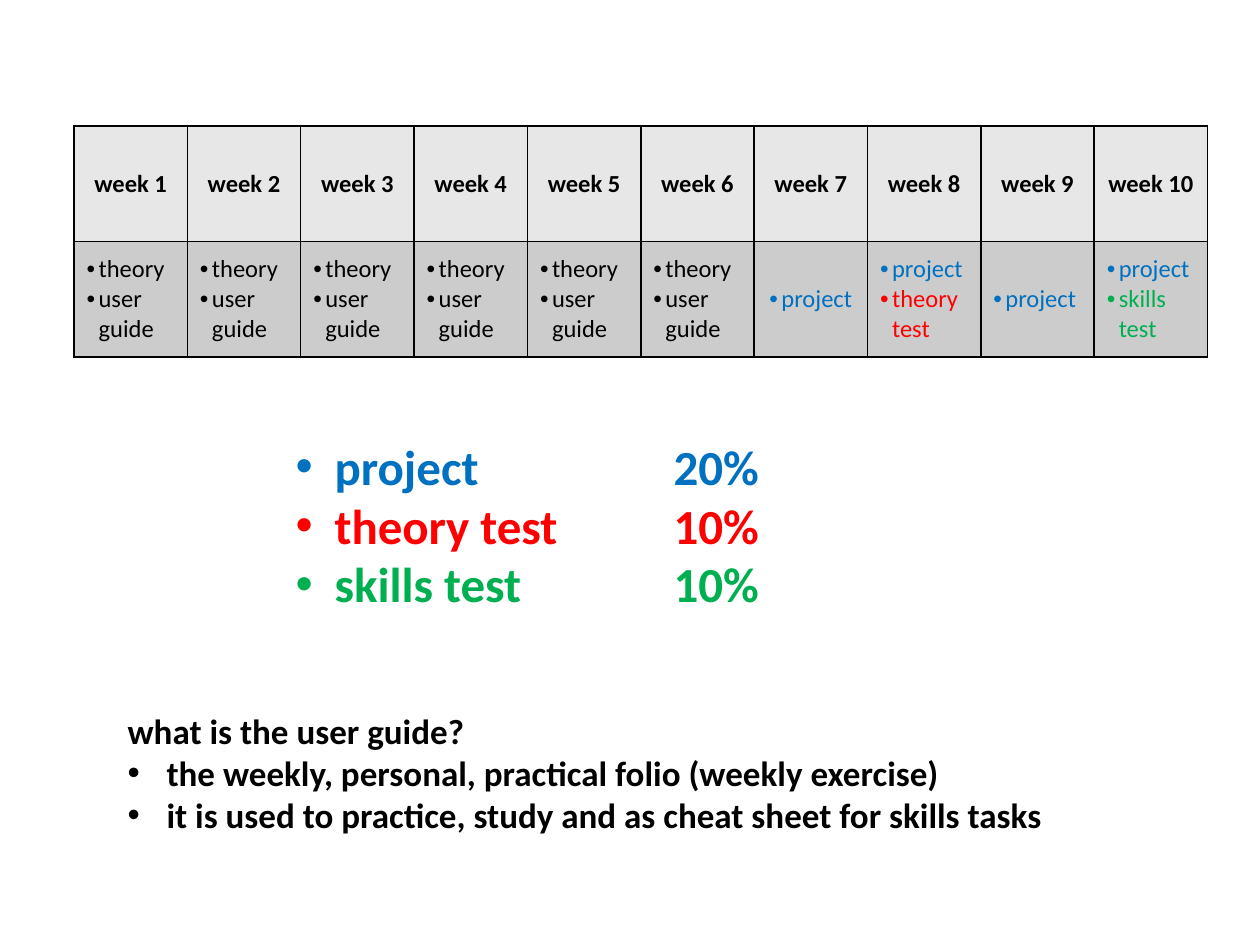
"""Build a slide with a ten-week course plan and its assessment weights."""
from lxml import etree
from pptx import Presentation
from pptx import util as u
from pptx.dml.color import RGBColor
from pptx.enum import text
from pptx.oxml.ns import qn

PX = 914400 // 126
FONT = "Calibri"
COLORS = {"black": "000000", "project": "0070C0", "theory test": "FF0000",
          "skills test": "00B050", "head": "E7E7E7", "body": "CCCCCC"}
PLAN = ([["theory", "user guide"]] * 6
        + [["project"], ["project", "theory test"],
           ["project"], ["project", "skills test"]])
WEIGHTS = [("project", "\t\t20%"), ("theory test", "\t10%"), ("skills test", "\t\t10%")]
GUIDE = ["what is the user guide?",
         "the weekly, personal, practical folio (weekly exercise)",
         "it is used to practice, study and as cheat sheet for skills tasks"]


def px(n):
    return u.Emu(n * PX)


def rgb(name):
    return RGBColor.from_string(COLORS[name])


def set_bullet(p, indent):
    pPr = p._p.get_or_add_pPr()
    pPr.set("marL", str(px(indent)))
    pPr.set("indent", str(-px(indent)))
    pPr.set("defTabSz", str(px(126)))
    if indent:
        etree.SubElement(pPr, qn("a:buFont")).set("typeface", "Arial")
        etree.SubElement(pPr, qn("a:buChar")).set("char", "•")
    else:
        etree.SubElement(pPr, qn("a:buNone"))


def write_lines(tf, lines, size, bold):
    """Fill a text frame from (text, colour name, indent) lines."""
    tf.text = "\n".join(line[0] for line in lines)
    for p, (_, color, indent) in zip(tf.paragraphs, lines):
        p.space_before = u.Pt(0)
        set_bullet(p, indent)
        for r in p.runs:
            r.font.name = FONT
            r.font.size = u.Pt(size)
            r.font.bold = bold
            r.font.color.rgb = rgb(color)


def set_borders(cell):
    tcPr = cell._tc.get_or_add_tcPr()
    for i, side in enumerate(("a:lnL", "a:lnR", "a:lnT", "a:lnB")):
        ln = etree.Element(qn(side), w=str(u.Pt(1)))
        fill = etree.SubElement(ln, qn("a:solidFill"))
        etree.SubElement(fill, qn("a:srgbClr")).set("val", COLORS["black"])
        tcPr.insert(i, ln)


def fill_cell(cell, lines, fill, bold, centered):
    write_lines(cell.text_frame, lines, 14, bold)
    cell.vertical_anchor = text.MSO_ANCHOR.MIDDLE
    cell.fill.solid()
    cell.fill.fore_color.rgb = rgb(fill)
    set_borders(cell)
    if centered:
        for p in cell.text_frame.paragraphs:
            p.alignment = text.PP_ALIGN.CENTER


def add_plan(s, x, y, w, h):
    table = s.shapes.add_table(2, len(PLAN), px(x), px(y), px(w), px(h)).table
    for i, tasks in enumerate(PLAN):
        week = i + 1
        fill_cell(table.cell(0, i), [(f"week {week}", "black", 0)], "head", True, True)
        lines = [(t, t if t in COLORS else "black", 12) for t in tasks]
        fill_cell(table.cell(1, i), lines, "body", False, week == 7)


def place_list(sp, x, y, w, h, lines, size):
    sp.left, sp.top, sp.width, sp.height = px(x), px(y), px(w), px(h)
    tf = sp.text_frame
    write_lines(tf, lines, size, True)
    tf.word_wrap = True
    tf.auto_size = text.MSO_AUTO_SIZE.SHAPE_TO_FIT_TEXT
    tf.vertical_anchor = text.MSO_ANCHOR.TOP


def main():
    prs = Presentation()
    prs.slide_width, prs.slide_height = px(1260), px(945)
    s = prs.slides.add_slide(prs.slide_layouts[3])
    title = s.shapes.title._element
    title.getparent().remove(title)
    add_plan(s, 74, 126, 1134, 231)
    weights = [(name + share, name, 39) for name, share in WEIGHTS]
    place_list(s.placeholders[1], 283, 430, 683, 190, weights, 28)
    guide = [(line, "black", 39 if i else 0) for i, line in enumerate(GUIDE)]
    place_list(s.placeholders[2], 115, 703, 998, 140, guide, 20)
    prs.save("out.pptx")


main()
